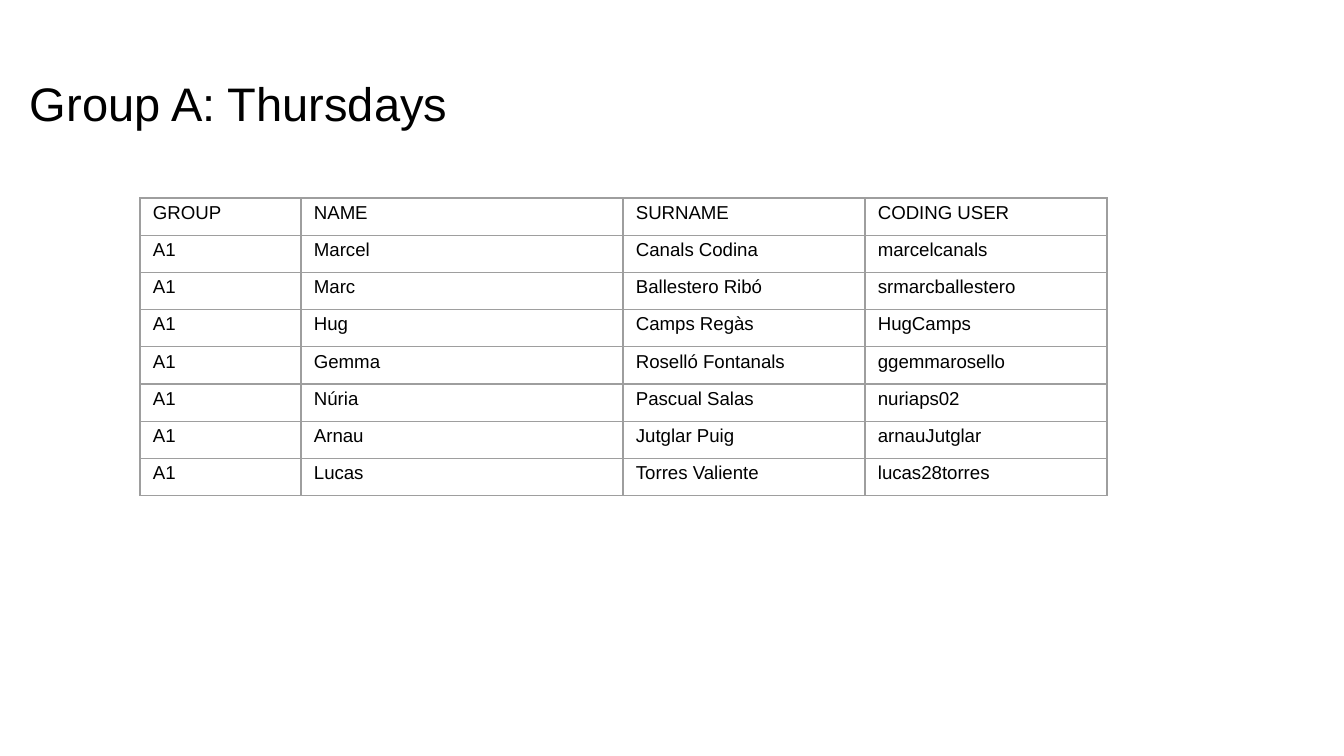
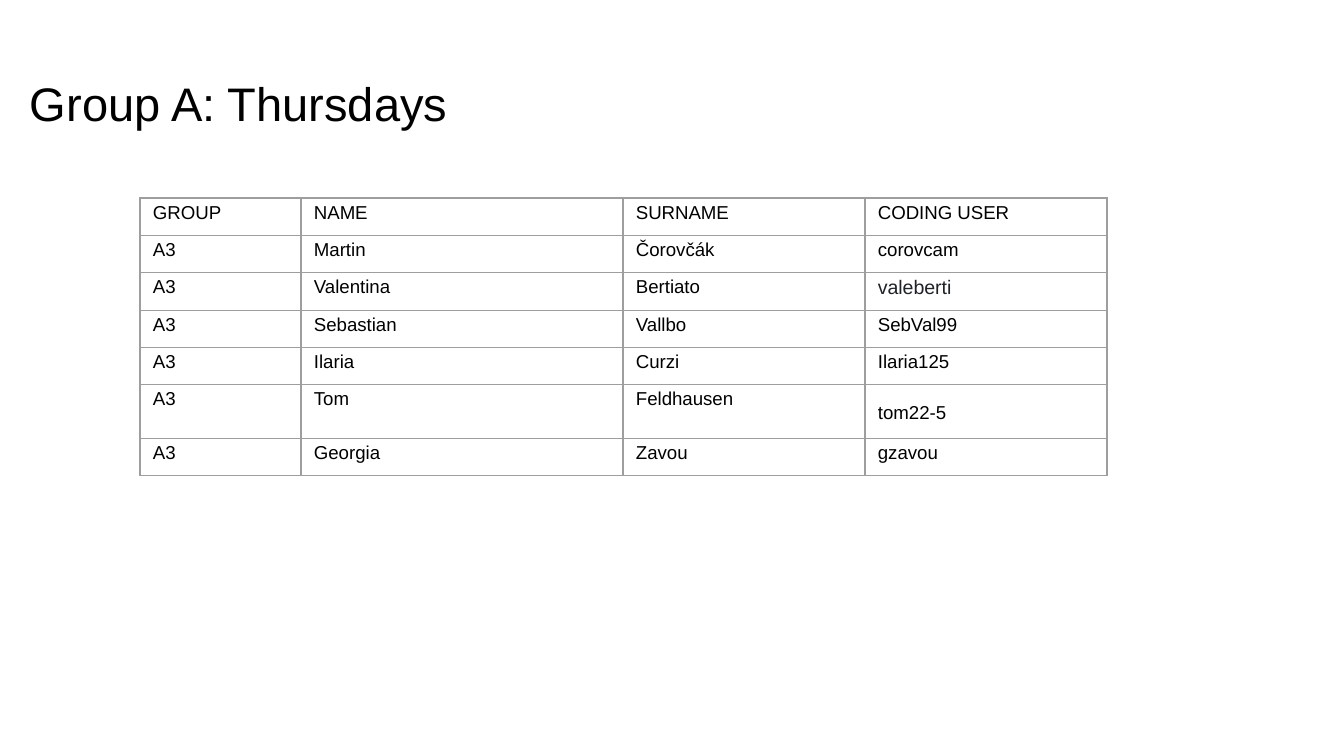
"""Build two slides that list the members of the Thursday groups."""
import lxml.etree
import pptx
import pptx.dml.color
import pptx.enum.text
import pptx.oxml.ns
import pptx.util

SCALE = 914400 / 134.4
FONT = "Arial"
HUES = {"text": "000000", "soft": "1F2328", "rule": "9E9E9E"}
TITLE = "Group A: Thursdays"
HEAD = ("GROUP", "NAME", "SURNAME", "CODING USER")
COLS = (161, 322, 242, 242)
TOP_ROW, ROW = 27, 31
INSET = 13

TEAMS = {
    "A1": [
        ("Marcel", "Canals Codina", "marcelcanals"),
        ("Marc", "Ballestero Ribó", "srmarcballestero"),
        ("Hug", "Camps Regàs", "HugCamps"),
        ("Gemma", "Roselló Fontanals", "ggemmarosello"),
        ("Núria", "Pascual Salas", "nuriaps02"),
        ("Arnau", "Jutglar Puig", "arnauJutglar"),
        ("Lucas", "Torres Valiente", "lucas28torres"),
    ],
    "A3": [
        ("Martin", "Čorovčák", "corovcam"),
        ("Valentina", "Bertiato", "valeberti"),
        ("Sebastian", "Vallbo", "SebVal99"),
        ("Ilaria", "Curzi", "Ilaria125"),
        ("Tom", "Feldhausen", "tom22-5"),
        ("Georgia", "Zavou", "gzavou"),
    ],
}
STYLES = {
    "valeberti": {"size": 10.5, "hue": "soft"},
    "tom22-5": {"space": 1.25},
}


def px(count):
    """Turn pixels into EMU."""
    return pptx.util.Emu(round(count * SCALE))


def write(frame, text, size=10, hue="text", space=1.0):
    """Put one formatted paragraph into a text frame."""
    para = frame.paragraphs[0]
    para.line_spacing = space
    run = para.add_run()
    run.text = text
    run.font.name = FONT
    run.font.size = pptx.util.Pt(size)
    run.font.color.rgb = pptx.dml.color.RGBColor.from_string(HUES[hue])


def inset(box):
    """Give a cell or text frame equal margins."""
    box.margin_left = box.margin_right = px(INSET)
    box.margin_top = box.margin_bottom = px(INSET)


def outline(cell):
    """Draw thin grey rules on all four sides of a cell."""
    props = cell._tc.get_or_add_tcPr()
    name = pptx.oxml.ns.qn
    for side in ("lnL", "lnR", "lnT", "lnB"):
        line = lxml.etree.SubElement(props, name(f"a:{side}"), w=str(pptx.util.Pt(0.75)))
        fill = lxml.etree.SubElement(line, name("a:solidFill"))
        lxml.etree.SubElement(fill, name("a:srgbClr"), val=HUES["rule"])


def add_title(slide):
    """Add the shared slide title."""
    frame = slide.shapes.add_textbox(px(17), px(59), px(1253), px(85)).text_frame
    frame.word_wrap = True
    frame.vertical_anchor = pptx.enum.text.MSO_ANCHOR.BOTTOM
    inset(frame)
    write(frame, TITLE, size=25.2)


def add_grid(slide, rows):
    """Add the table of members."""
    high = TOP_ROW + ROW * (len(rows) - 1)
    table = slide.shapes.add_table(
        len(rows), len(COLS), px(140), px(198), px(sum(COLS)), px(high)
    ).table
    table.first_row = table.horz_banding = False
    for col, width in zip(table.columns, COLS):
        col.width = px(width)
    for r, row in enumerate(rows):
        table.rows[r].height = px(ROW if r else TOP_ROW)
        for c, text in enumerate(row):
            cell = table.cell(r, c)
            inset(cell)
            outline(cell)
            cell.fill.background()
            write(cell.text_frame, text, **{"space": 0.5, **STYLES.get(text, {})})


def main():
    """Build and save the deck."""
    deck = pptx.Presentation()
    deck.slide_width, deck.slide_height = px(1344), px(756)
    for team, people in TEAMS.items():
        slide = deck.slides.add_slide(deck.slide_layouts[6])
        add_title(slide)
        add_grid(slide, [HEAD] + [(team, *person) for person in people])
    deck.save("out.pptx")


if __name__ == "__main__":
    main()
